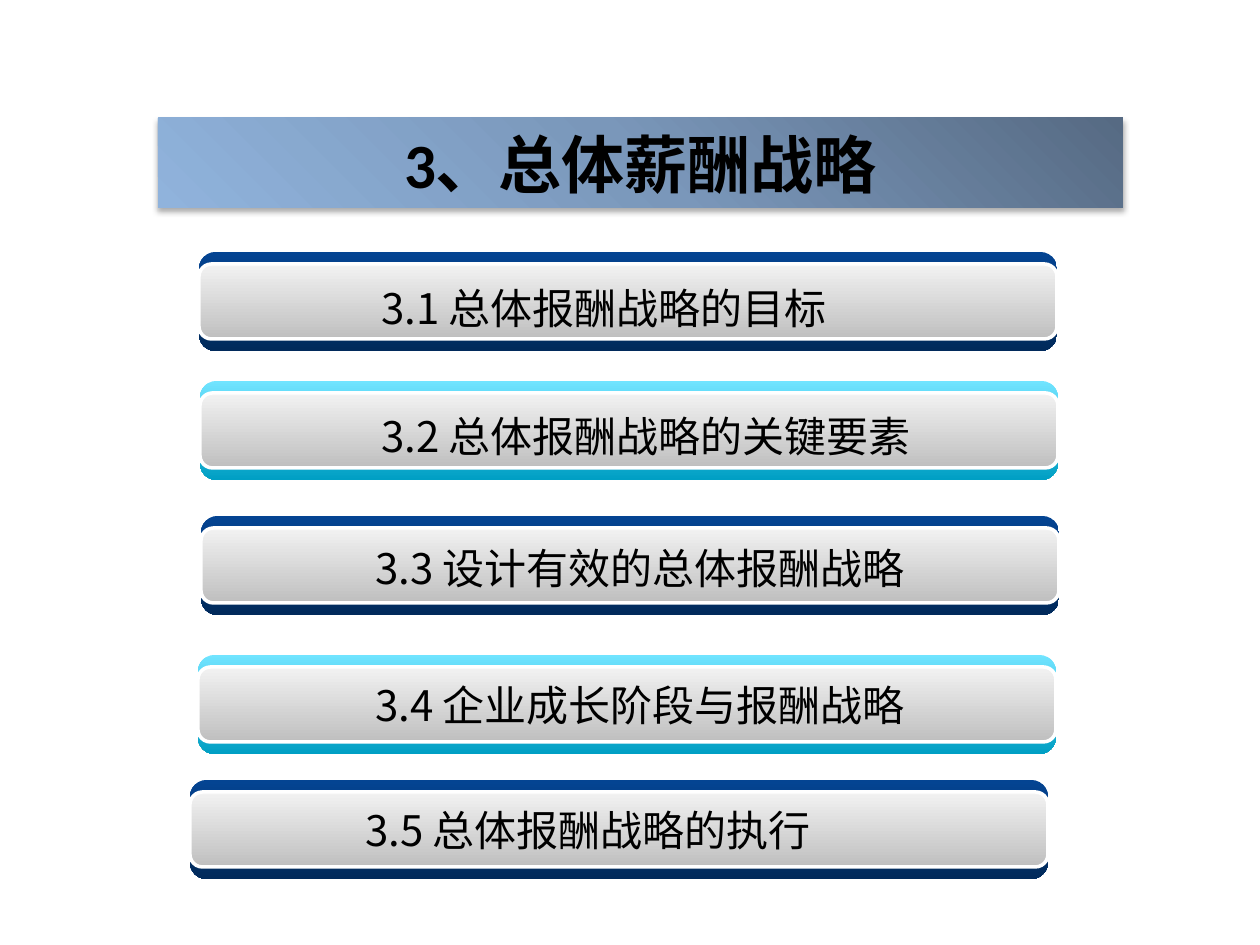
from lxml import etree
from pptx import Presentation
from pptx.dml.color import RGBColor
from pptx.enum import shapes, text
from pptx.oxml import parse_xml
from pptx.oxml.ns import nsdecls, qn
from pptx.util import Emu, Pt

PX = 914400 / 126
THEME = {
    "navy": ("044492", "012A5B"),
    "cyan": ("71E4FF", "009FC4"),
    "silver": ("F2F2F2", "BFBFBF"),
    "title_stops": ((0, "566A83"), (50, "7A97BA"), (100, "90B3DC")),
    "ink": "000000",
    "edge": "FFFFFF",
    "title_font": "Calibri",
    "item_font": "Noto Sans CJK SC",
    "title_size": 36,
    "item_size": 24,
}


def write(box, words, *, font, size, bold=False, fit=text.MSO_AUTO_SIZE.NONE,
          anchor=text.MSO_ANCHOR.TOP):
    frame = box.text_frame
    frame.word_wrap = True
    frame.auto_size = fit
    frame.vertical_anchor = anchor
    para = frame.paragraphs[0]
    para.alignment = text.PP_ALIGN.CENTER
    span = para.add_run()
    span.text = words
    span.font.name = font
    span.font.size = Pt(size)
    span.font.bold = bold
    span.font.color.rgb = RGBColor.from_string(THEME["ink"])
    east_asian = etree.SubElement(span.font._element, qn("a:ea"))
    east_asian.set("typeface", THEME["item_font"])


def add_band(parent, kind, place, colours):
    band = parent.shapes.add_shape(kind, *(Emu(round(n * PX)) for n in place))
    band.shadow.inherit = False
    band.line.fill.background()
    band.fill.gradient()
    band.fill.gradient_angle = 270
    for stop, colour in zip(band.fill.gradient_stops, colours):
        stop.color.rgb = RGBColor.from_string(colour)
    return band


deck = Presentation()
deck.slide_width = Emu(round(1260 * PX))
deck.slide_height = Emu(round(945 * PX))
page = deck.slides.add_slide(deck.slide_layouts[6])

# Title band: radial gradient from the top right corner, soft shadow below
title = add_band(page, shapes.MSO_SHAPE.RECTANGLE, (158, 118, 965, 90), THEME["navy"])
stops = "".join(
    f'<a:gs pos="{at * 1000}"><a:srgbClr val="{colour}"/></a:gs>'
    for at, colour in THEME["title_stops"]
)
radial = parse_xml(
    f'<a:gradFill {nsdecls("a")} rotWithShape="1"><a:gsLst>{stops}</a:gsLst>'
    '<a:path path="circle"><a:fillToRect l="100000" b="100000"/></a:path></a:gradFill>'
)
properties = title._element.spPr
properties.replace(properties.find(qn("a:gradFill")), radial)
properties.find(qn("a:effectLst")).append(parse_xml(
    f'<a:outerShdw {nsdecls("a")} blurRad="{Pt(3.5)}" dist="{Pt(2.2)}" dir="5400000" '
    f'rotWithShape="0"><a:srgbClr val="{THEME["ink"]}"><a:alpha val="32000"/>'
    '</a:srgbClr></a:outerShdw>'
))
write(title, "3、总体薪酬战略", font=THEME["title_font"], size=THEME["title_size"],
      bold=True, anchor=text.MSO_ANCHOR.MIDDLE)

# Section bars: bar left and top, then label left, top and width
sections = (
    ("3.1 总体报酬战略的目标", "navy", 199, 252, (336, 276, 536)),
    ("3.2 总体报酬战略的关键要素", "cyan", 200, 381, (336, 404, 620)),
    ("3.3 设计有效的总体报酬战略", "navy", 201, 516, (346, 536, 588)),
    ("3.4 企业成长阶段与报酬战略", "cyan", 198, 655, (346, 673, 588)),
    ("3.5 总体报酬战略的执行", "navy", 190, 780, (302, 798, 572)),
)
for words, colour, left, top, label_place in sections:
    bar = page.shapes.add_group_shape()
    rounded = shapes.MSO_SHAPE.ROUNDED_RECTANGLE
    add_band(bar, rounded, (left, top, 858, 99), THEME[colour])
    face = add_band(bar, rounded, (left, top + 12, 858, 75), THEME["silver"])
    face.line.color.rgb = RGBColor.from_string(THEME["edge"])
    face.line.width = Pt(2)

    label = page.shapes.add_textbox(*(Emu(round(n * PX)) for n in (*label_place, 63)))
    write(label, words, font=THEME["item_font"], size=THEME["item_size"],
          fit=text.MSO_AUTO_SIZE.SHAPE_TO_FIT_TEXT)

deck.save("out.pptx")
